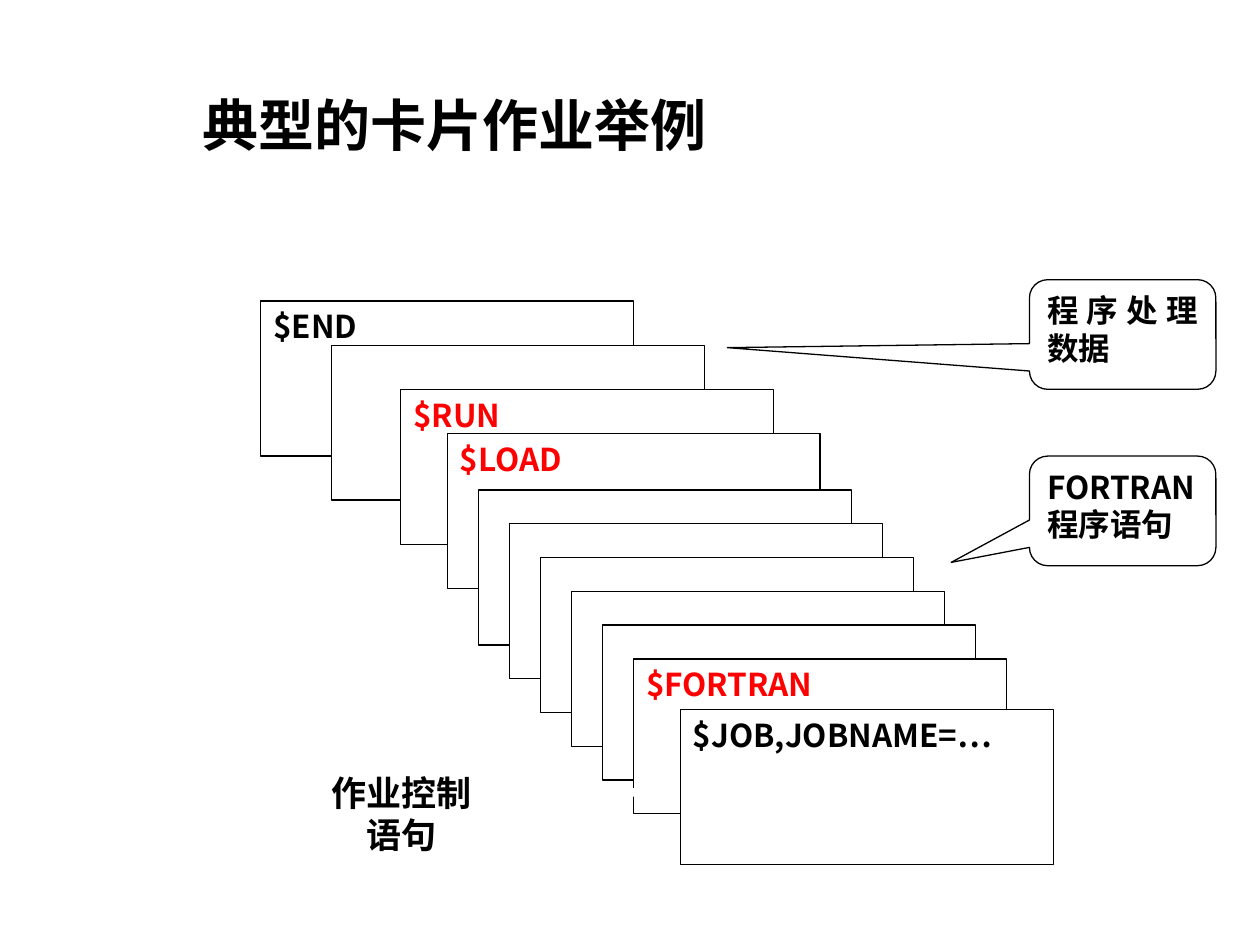
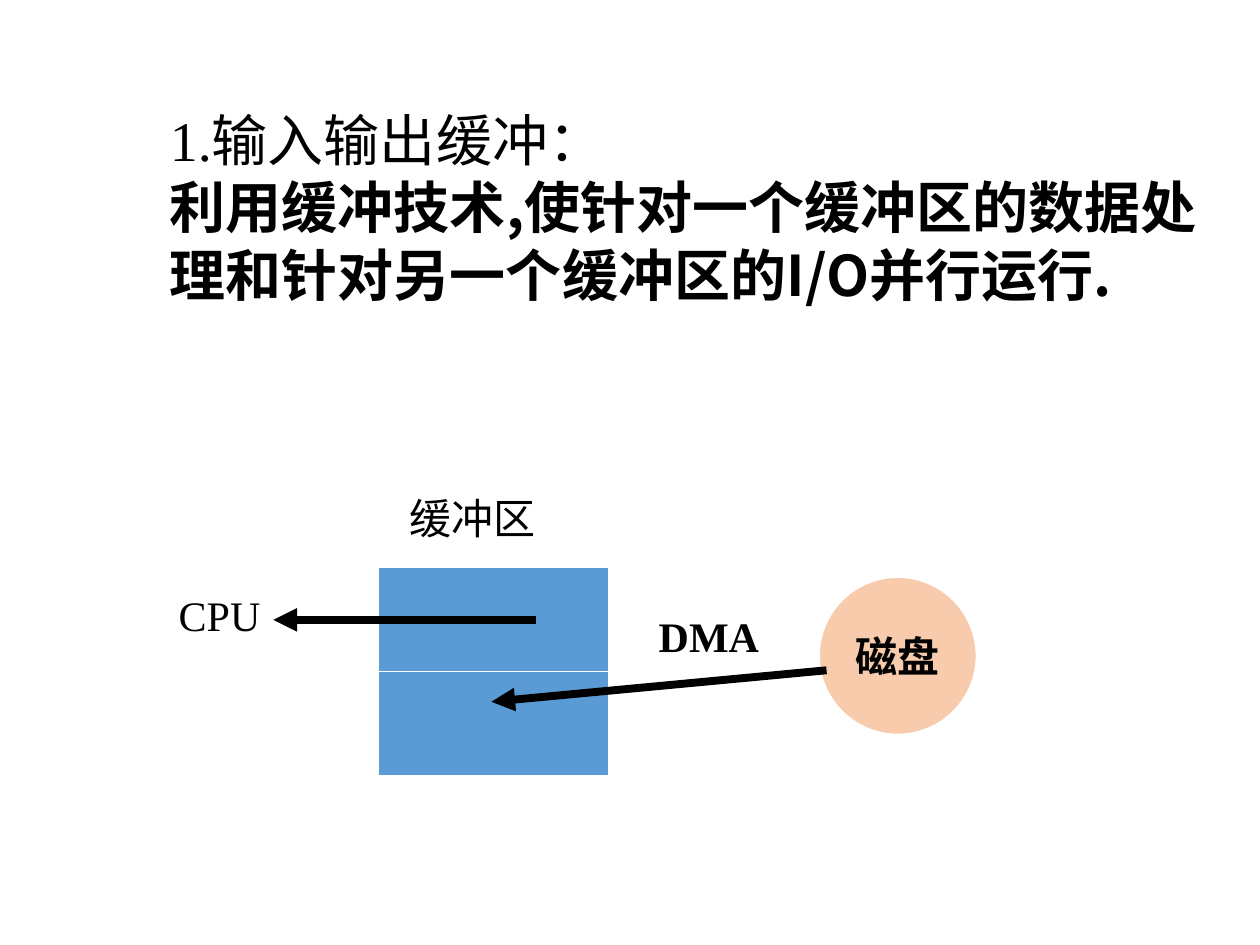
from lxml.etree import SubElement
from pptx import Presentation
from pptx.dml.color import RGBColor
from pptx.enum.shapes import MSO_CONNECTOR, MSO_SHAPE
from pptx.enum.text import MSO_ANCHOR, MSO_AUTO_SIZE, PP_ALIGN
from pptx.oxml.ns import qn
from pptx.util import Inches, Pt

BLACK = RGBColor(0x00, 0x00, 0x00)
WHITE = RGBColor(0xFF, 0xFF, 0xFF)
RED = RGBColor(0xFF, 0x00, 0x00)
BLUE = RGBColor(0x5B, 0x9B, 0xD5)
PEACH = RGBColor(0xF8, 0xCB, 0xAD)
SANS = "Noto Sans CJK SC"
SERIF = "Times New Roman"


def add_run(paragraph, text, size, font=SERIF, bold=False, color=BLACK):
    run = paragraph.add_run()
    run.text = text
    run.font.size = Pt(size)
    run.font.name = font
    run.font.bold = bold
    run.font.color.rgb = color
    east_asian = SubElement(run._r.get_or_add_rPr(), qn("a:ea"))
    east_asian.set("typeface", SANS)
    run._r.rPr.find(qn("a:latin")).addnext(east_asian)


def add_box(slide, kind, box, fill, line, line_width, align=PP_ALIGN.JUSTIFY):
    """Add a filled, outlined shape whose text starts at the top."""
    shape = slide.shapes.add_shape(kind, *map(Inches, box))
    shape.shadow.inherit = False
    shape.fill.solid()
    shape.fill.fore_color.rgb = fill
    shape.line.color.rgb = line
    shape.line.width = Pt(line_width)
    shape.text_frame.word_wrap = True
    shape.text_frame.vertical_anchor = MSO_ANCHOR.TOP
    shape.text_frame.paragraphs[0].alignment = align
    return shape


presentation = Presentation()
presentation.slide_width = Inches(10)
presentation.slide_height = Inches(7.5)
blank_layout = presentation.slide_layouts[6]
job_slide = presentation.slides.add_slide(blank_layout)
buffer_slide = presentation.slides.add_slide(blank_layout)

# Slide 1: deck of punched cards, from the back card to the front card
CARD_WIDTH, CARD_HEIGHT = 2.96, 1.23
SOURCE_LEFT, SOURCE_TOP = 3.8, 3.89
FORTRAN_LEFT, FORTRAN_TOP = 5.03, 5.23
SOURCE_CARDS = 5
cards = [
    (2.07, 2.39, "$END", BLACK),
    (2.63, 2.74, "", BLACK),
    (3.18, 3.09, "$RUN", RED),
    (3.55, 3.44, "$LOAD", RED),
]
for index in range(SOURCE_CARDS):
    share = index / SOURCE_CARDS
    cards.append((SOURCE_LEFT + share * (FORTRAN_LEFT - SOURCE_LEFT),
                  SOURCE_TOP + share * (FORTRAN_TOP - SOURCE_TOP), "", BLACK))
cards += [
    (FORTRAN_LEFT, FORTRAN_TOP, "$FORTRAN", RED),
    (5.4, 5.63, "$JOB,JOBNAME=…", BLACK),
]
for left, top, label, color in cards:
    card = add_box(job_slide, MSO_SHAPE.RECTANGLE,
                   (left, top, CARD_WIDTH, CARD_HEIGHT), WHITE, BLACK, 0.75)
    if label:
        add_run(card.text_frame.paragraphs[0], label, 18, SANS, True, color)

callouts = [
    ((8.17, 2.22, 1.48, 0.87), (-2.12, 0.12), "程序处理数据", 18, SANS, BLACK, 0.75, PP_ALIGN.JUSTIFY),
    ((8.17, 3.62, 1.48, 0.87), (-0.92, 0.47), "FORTRAN程序语句", 18, SANS, BLACK, 0.75, PP_ALIGN.JUSTIFY),
    ((2.4, 6.03, 1.57, 0.87), (1.39, -0.2), "作业控制语句", 20, SERIF, WHITE, 1, PP_ALIGN.CENTER),
]
for box, tip, text, size, font, line, line_width, align in callouts:
    callout = add_box(job_slide, MSO_SHAPE.ROUNDED_RECTANGULAR_CALLOUT,
                      box, WHITE, line, line_width, align)
    callout.adjustments[0], callout.adjustments[1] = tip
    add_run(callout.text_frame.paragraphs[0], text, size, font, True)

# Slide 2: two buffers between the CPU and the disk
explanation = buffer_slide.shapes.add_textbox(
    Inches(1.25), Inches(0.79), Inches(8.75), Inches(1.7))
explanation.text_frame.word_wrap = True
add_run(explanation.text_frame.paragraphs[0], "1.输入输出缓冲：", 32)
add_run(explanation.text_frame.add_paragraph(),
        "利用缓冲技术,使针对一个缓冲区的数据处理和针对另一个缓冲区的I/O并行运行.",
        32, SANS, True)

BUFFER_HEIGHT = 0.83
for index in range(2):
    add_box(buffer_slide, MSO_SHAPE.RECTANGLE,
            (3, 4.5 + index * BUFFER_HEIGHT, 1.83, BUFFER_HEIGHT), BLUE, WHITE, 1)

disk = add_box(buffer_slide, MSO_SHAPE.OVAL, (6.5, 4.58, 1.25, 1.25),
               PEACH, WHITE, 1, PP_ALIGN.CENTER)
disk.text_frame.word_wrap = False
disk.text_frame.vertical_anchor = MSO_ANCHOR.MIDDLE
add_run(disk.text_frame.paragraphs[0], "磁盘", 24, bold=True)

for ends in [(6.56, 5.32, 3.9, 5.57), (4.25, 4.92, 2.17, 4.92)]:
    arrow = buffer_slide.shapes.add_connector(MSO_CONNECTOR.STRAIGHT, *map(Inches, ends))
    arrow.line.color.rgb = BLACK
    arrow.line.width = Pt(4.5)
    SubElement(arrow.line._get_or_add_ln(), qn("a:tailEnd")).set("type", "triangle")
    SubElement(arrow._element.spPr, qn("a:effectLst"))

# Single-line titles and labels, each box a little wider than its text
labels = [
    (job_slide, (1.51, 0.67, 4.35, 0.64), "典型的卡片作业举例", 32, True),
    (buffer_slide, (3.15, 3.86, 1.25, 0.5), "缓冲区", 24, False),
    (buffer_slide, (1.32, 4.63, 0.9, 0.5), "CPU", 24, False),
    (buffer_slide, (5.13, 4.8, 1.1, 0.5), "DMA", 24, True),
]
for slide, box, text, size, bold in labels:
    label_box = slide.shapes.add_textbox(*map(Inches, box))
    label_box.text_frame.word_wrap = True
    label_box.text_frame.auto_size = MSO_AUTO_SIZE.SHAPE_TO_FIT_TEXT
    add_run(label_box.text_frame.paragraphs[0], text, size, bold=bold)

presentation.save("out.pptx")
